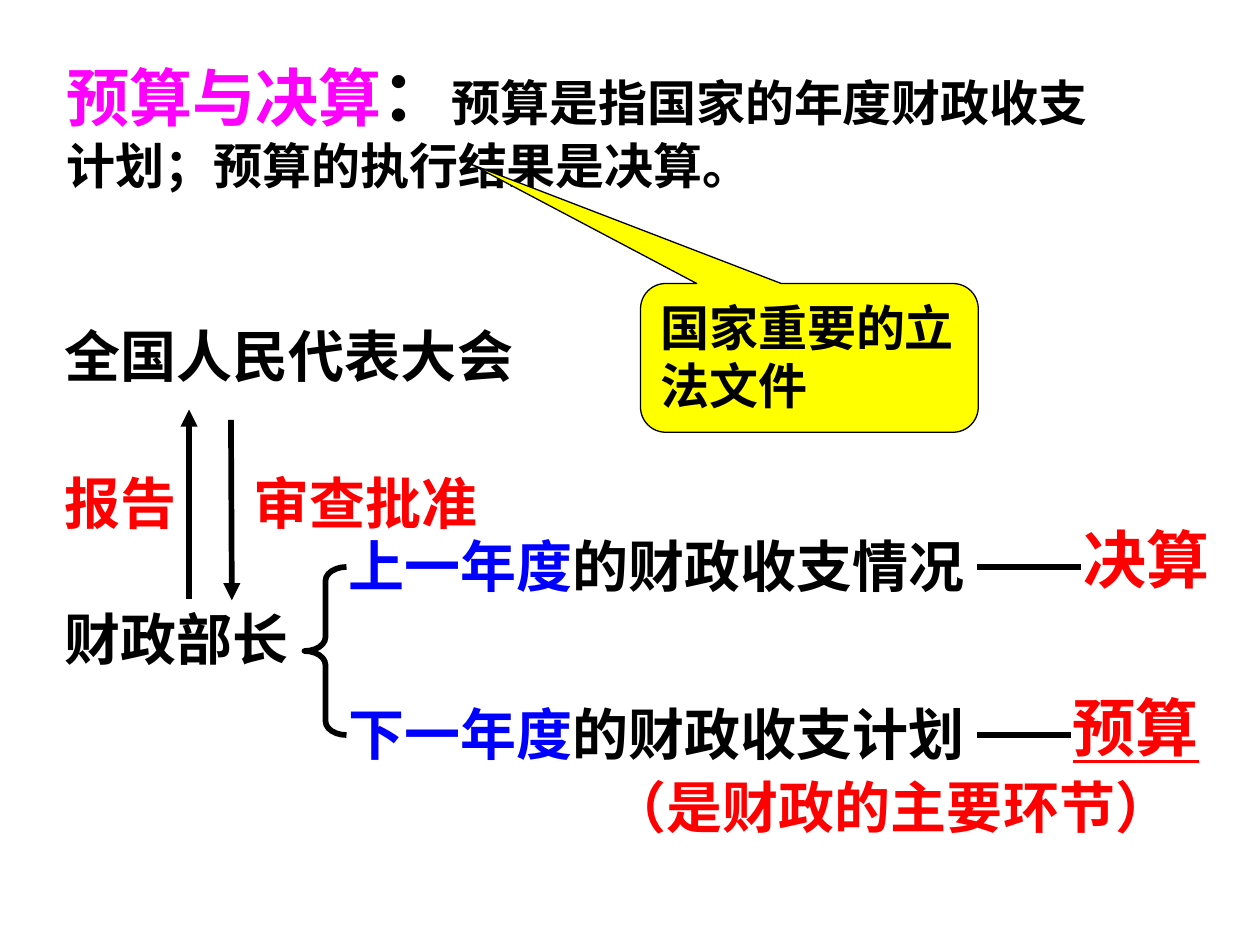
from lxml.etree import SubElement
from pptx import Presentation
from pptx.dml.color import RGBColor
from pptx.enum.shapes import MSO_CONNECTOR, MSO_SHAPE
from pptx.enum.text import MSO_ANCHOR, MSO_AUTO_SIZE, PP_ALIGN
from pptx.oxml.ns import qn
from pptx.util import Pt

COLORS = {
    "black": "000000",
    "red": "FF0000",
    "blue": "0000FF",
    "magenta": "FF00FF",
    "yellow": "FFFF00",
}
HEADING_FONT = "Arial"
BODY_FONT = "Times New Roman"
LINE_WIDTH = 3.25
LABEL_HEIGHT = 46


def color(name):
    return RGBColor.from_string(COLORS[name])


def fill_text(shape, runs, font_name, size=None):
    """Write runs of (text, colour name) or (text, colour name, size)."""
    frame = shape.text_frame
    frame.word_wrap = True
    paragraph = frame.paragraphs[0]
    paragraph.alignment = PP_ALIGN.LEFT
    paragraph.font.name = font_name
    paragraph.font.bold = True
    if size:
        paragraph.font.size = Pt(size)
    for text, color_name, *run_size in runs:
        run = paragraph.add_run()
        run.text = text
        run.font.color.rgb = color(color_name)
        if run_size:
            run.font.size = Pt(run_size[0])
    return paragraph


def add_text(slide, left, top, width, height, runs, font_name=BODY_FONT, size=None):
    box = slide.shapes.add_textbox(Pt(left), Pt(top), Pt(width), Pt(height))
    box.text_frame.auto_size = MSO_AUTO_SIZE.SHAPE_TO_FIT_TEXT
    return fill_text(box, runs, font_name, size)


def add_line(slide, start_x, start_y, end_x, end_y, arrow=False):
    connector = slide.shapes.add_connector(
        MSO_CONNECTOR.STRAIGHT, Pt(start_x), Pt(start_y), Pt(end_x), Pt(end_y))
    connector.line.color.rgb = color("black")
    connector.line.width = Pt(LINE_WIDTH)
    properties = connector._element.spPr
    if arrow:
        SubElement(properties.find(qn("a:ln")), qn("a:tailEnd"), type="triangle")
    SubElement(properties, qn("a:effectLst"))


def add_definition(slide, left, top, width, height):
    add_text(slide, left, top, width, height, [
        ("预算与决算", "magenta", 36),
        ("：", "black", 40),
        ("预算是指国家的年度财政收支计划；预算的执行结果是决算。", "black", 28),
    ], HEADING_FONT)


def add_callout(slide, left, top, width, height):
    callout = slide.shapes.add_shape(
        MSO_SHAPE.ROUNDED_RECTANGULAR_CALLOUT,
        Pt(left), Pt(top), Pt(width), Pt(height))
    for index, value in enumerate((-1.0, -1.3, 0.17)):
        callout.adjustments[index] = value
    callout.shadow.inherit = False
    callout.fill.solid()
    callout.fill.fore_color.rgb = color("yellow")
    callout.line.color.rgb = color("black")
    callout.line.width = Pt(0.75)
    callout.text_frame.vertical_anchor = MSO_ANCHOR.TOP
    fill_text(callout, [("国家重要的立法文件", "black")], HEADING_FONT, 28)


def add_approval_exchange(slide, left, top, width, height):
    """Congress above, minister below, and the two arrows between them."""
    labels = [
        ("全国人民代表大会", "black", 0, 0, width),
        ("报告", "red", 0, 84, 114),
        ("审查批准", "red", 108, 84, 198),
        ("财政部长", "black", 0, height - LABEL_HEIGHT, 162),
    ]
    for text, color_name, x, y, label_width in labels:
        add_text(slide, left + x, top + y, label_width, LABEL_HEIGHT,
                 [(text, color_name)], size=32)
    add_line(slide, left + 78, top + 162, left + 78, top + 54, arrow=True)
    add_line(slide, left + 102, top + 60, left + 102.5, top + 163, arrow=True)


def add_report_contents(slide, left, top, width, height):
    """A brace over two yearly reports, each tied to its name, and a note."""
    pitch = 96
    brace = slide.shapes.add_shape(
        MSO_SHAPE.LEFT_BRACE, Pt(left), Pt(top + 30), Pt(24), Pt(pitch))
    brace.adjustments[0] = 0.33
    brace.shadow.inherit = False
    brace.fill.background()
    brace.line.color.rgb = color("black")
    brace.line.width = Pt(LINE_WIDTH)

    rows = [
        ("上一年度", "的财政收支情况", "决算", 372, 438, False),
        ("下一年度", "的财政收支计划", "预算", 402, 432, True),
    ]
    for index, (year, subject, name, text_width, name_x, underline) in enumerate(rows):
        row_top = top + index * pitch
        add_text(slide, left + 18, row_top + 6, text_width, LABEL_HEIGHT,
                 [(year, "blue"), (subject, "black")], size=32)
        add_line(slide, left + 384, row_top + 30, left + name_x + 6, row_top + 30)
        paragraph = add_text(slide, left + name_x, row_top, 90, 50,
                             [(name, "red")], size=36)
        if underline:
            paragraph.font.underline = True

    note_width = 348
    add_text(slide, left + width - note_width, top + height - LABEL_HEIGHT,
             note_width, LABEL_HEIGHT, [("（是财政的主要环节）", "red")], size=32)


def main():
    presentation = Presentation()
    presentation.slide_width = Pt(720)
    presentation.slide_height = Pt(540)
    slide = presentation.slides.add_slide(presentation.slide_layouts[6])
    add_definition(slide, 31, 26, 607, 89)
    add_approval_exchange(slide, 30, 180, 276, 208)
    add_report_contents(slide, 174, 294, 516, 190)
    add_callout(slide, 366, 162, 193, 85)
    presentation.save("out.pptx")


if __name__ == "__main__":
    main()
